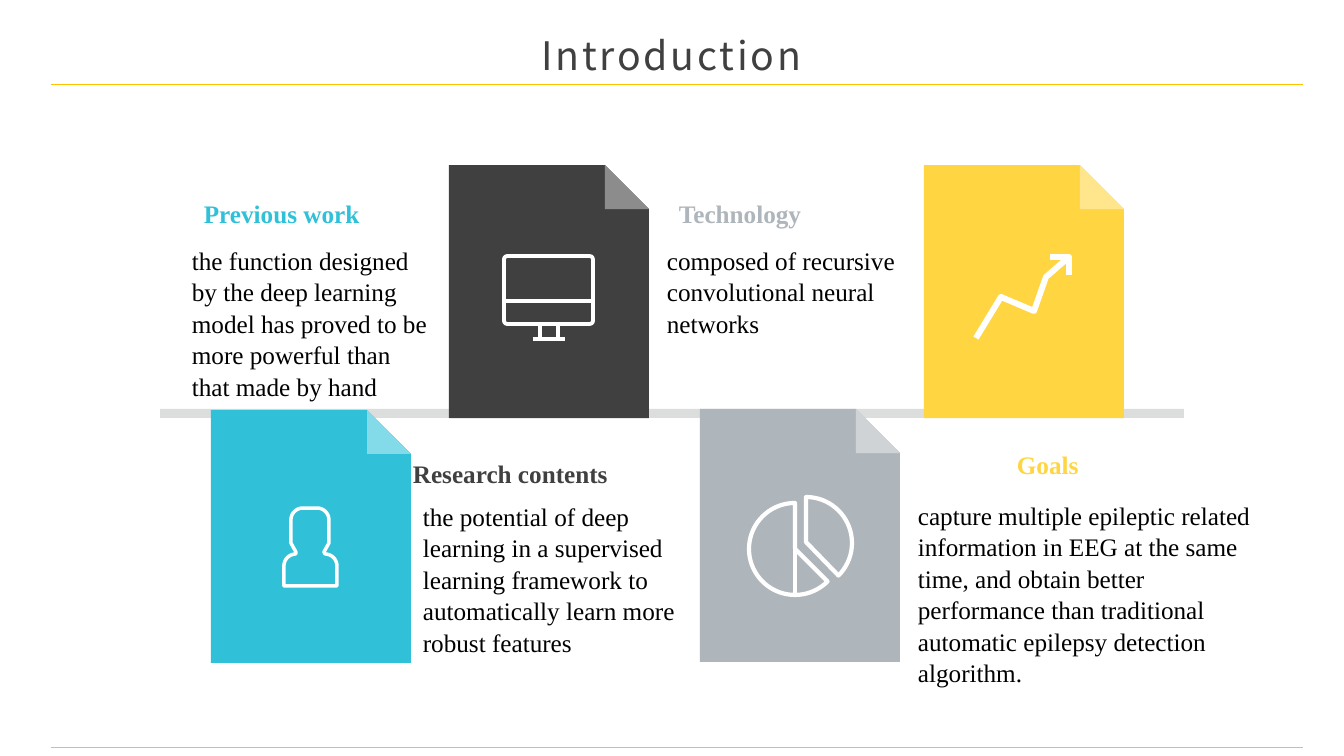
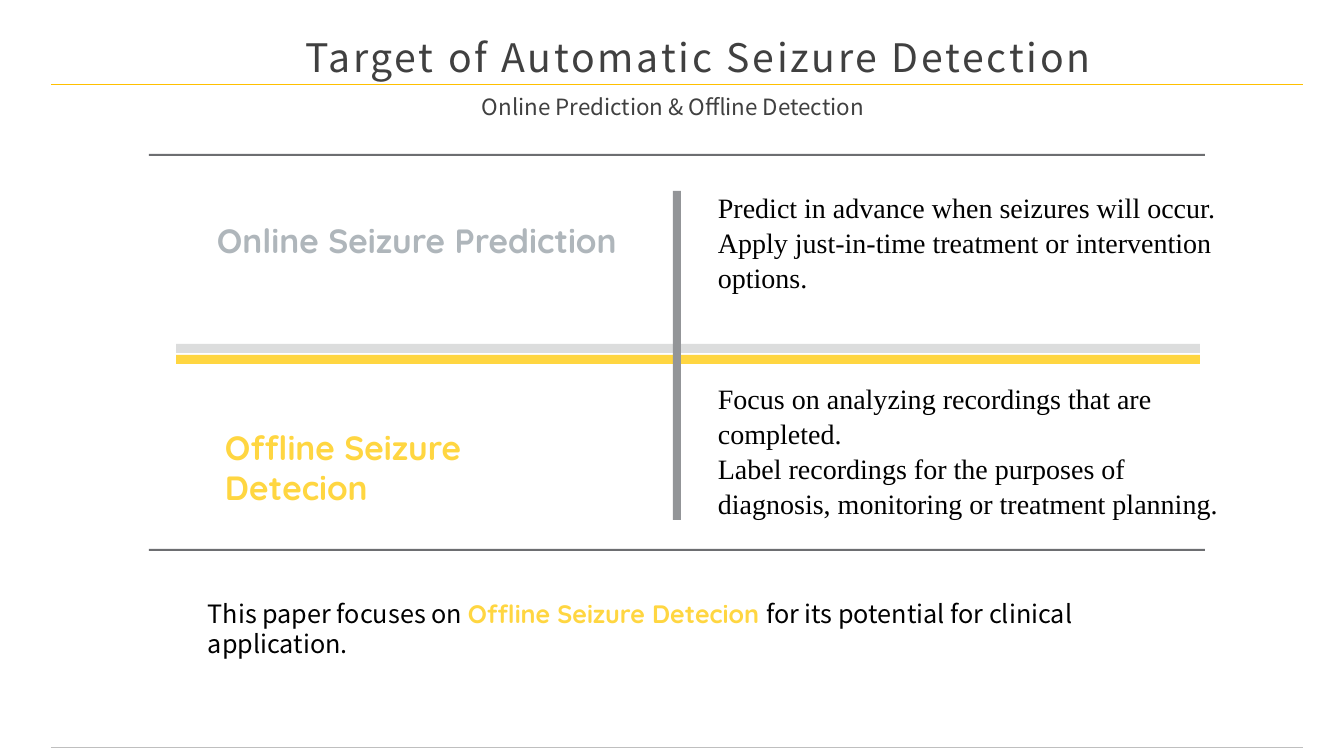
import math

import pptx
import pptx.dml.color
import pptx.enum.shapes
import pptx.enum.text
import pptx.oxml
import pptx.oxml.ns
import pptx.util

PX = 914400 / 100.8
COLORS = {
    "ink": "404040",
    "black": "000000",
    "white": "FFFFFF",
    "accent": "FFC000",
    "footer": "BFBFBF",
    "track": "DCDDDD",
    "divider": "939598",
    "rule": "6D6E71",
    "cyan": "30C1D8",
    "silver": "AFB6BB",
    "yellow": "FFD641",
    "cyan_fold": "83DAE8",
    "ink_fold": "8C8C8C",
    "silver_fold": "CFD3D6",
    "yellow_fold": "FFE68D",
}
SERIF = "Times New Roman"
SANS = "Noto Sans CJK SC"
ROUNDED = "Quicksand"
SHAPES = pptx.enum.shapes.MSO_SHAPE
CENTER = pptx.enum.text.PP_ALIGN.CENTER
PAGE_W, PAGE_H, FOLD = 200, 253, 44


def px(value):
    return pptx.util.Emu(round(value * PX))


def rgb(name):
    return pptx.dml.color.RGBColor.from_string(COLORS[name])


def style_font(font, face, size, color, bold=False):
    font.name = face
    font.size = pptx.util.Pt(size)
    font.bold = bold
    font.color.rgb = rgb(color)


def paint(shape, fill=None, line=None, weight=1):
    shape.shadow.inherit = False
    if fill:
        shape.fill.solid()
        shape.fill.fore_color.rgb = rgb(fill)
    else:
        shape.fill.background()
    if line:
        shape.line.color.rgb = rgb(line)
        shape.line.width = pptx.util.Pt(weight)
    else:
        shape.line.fill.background()


def add_bar(slide, left, top, width, height, fill):
    bar = slide.shapes.add_shape(SHAPES.RECTANGLE, px(left), px(top), px(width), px(height))
    paint(bar, fill)


def add_line(slide, start, end, color, weight):
    line = slide.shapes.add_connector(
        pptx.enum.shapes.MSO_CONNECTOR.STRAIGHT, *map(px, start + end))
    line.line.color.rgb = rgb(color)
    line.line.width = pptx.util.Pt(weight)
    properties = line._element.spPr
    properties.append(pptx.oxml.parse_xml(
        "<a:effectLst %s/>" % pptx.oxml.ns.nsdecls("a")))


def add_outline(slide, points, fill=None, line=None, weight=1, close=True):
    corners = [(px(x), px(y)) for x, y in points]
    builder = slide.shapes.build_freeform(*corners[0], scale=1.0)
    builder.add_line_segments(corners[1:], close=close)
    paint(builder.convert_to_shape(), fill, line, weight)


def arc(x, y, radius, start, end):
    steps = max(6, abs(end - start) // 5)
    angles = [math.radians(start + (end - start) * i / steps) for i in range(steps + 1)]
    return [(x + radius * math.cos(a), y + radius * math.sin(a)) for a in angles]


def add_text(slide, box, paragraphs, face, size, color="black", bold=False, align=None):
    frame = slide.shapes.add_textbox(*map(px, box)).text_frame
    frame.word_wrap = True
    frame.text = "\n".join(paragraphs)
    for paragraph in frame.paragraphs:
        style_font(paragraph.font, face, size, color, bold)
        paragraph.alignment = align
        if face == SERIF:
            paragraph.line_spacing = 1.04


def add_titled_slide(deck, title, box):
    slide = deck.slides.add_slide(deck.slide_layouts[5])
    heading = slide.shapes.title
    heading.left, heading.top, heading.width, heading.height = map(px, box)
    frame = heading.text_frame
    frame.text = title
    frame.word_wrap = True
    frame.auto_size = pptx.enum.text.MSO_AUTO_SIZE.NONE
    frame.vertical_anchor = pptx.enum.text.MSO_ANCHOR.MIDDLE
    paragraph = frame.paragraphs[0]
    paragraph.alignment = CENTER
    style_font(paragraph.font, SANS, 28, "ink")
    paragraph.runs[0]._r.get_or_add_rPr().set("spc", "200")
    for y, color in ((84, "accent"), (747, "footer")):
        add_line(slide, (51, y), (1303, y), color, 0.5)
    return slide


def add_page(slide, left, top, color):
    right, crease = left + PAGE_W, left + PAGE_W - FOLD
    bottom, flap = top + PAGE_H, top + FOLD
    add_outline(slide, [(crease, top), (left, top), (left, bottom),
                        (right, bottom), (right, flap)], color)
    add_outline(slide, [(crease, flap), (right, flap), (crease, top)], color + "_fold")


def draw_person(slide):
    points = [(284, 586), *arc(296, 566, 12, 180, 270), (296, 552), (291, 543),
              *arc(303, 520, 12, 180, 270), *arc(317, 520, 12, 270, 360),
              (329, 543), (324, 552), *arc(325, 566, 12, 270, 360), (337, 586)]
    add_outline(slide, points, line="white", weight=2.5)


def draw_monitor(slide):
    screen = slide.shapes.add_shape(
        SHAPES.ROUNDED_RECTANGLE, px(504), px(256), px(89), px(68))
    screen.adjustments[0] = 0.05
    paint(screen, line="white", weight=2.75)
    for start, end in (((504, 301), (593, 301)), ((540, 324), (540, 338)),
                       ((558, 324), (558, 338)), ((533, 339), (565, 339))):
        add_line(slide, start, end, "white", 2.75)


def draw_pie(slide):
    large = [(795, 549), *arc(795, 549, 46, 270, 45)]
    small = [(806, 542), *arc(806, 543, 46, 270, 405)]
    for sector in (large, small):
        add_outline(slide, sector, line="white", weight=3)
    add_line(slide, (795, 549), (795, 595), "white", 3)


def draw_trend(slide):
    trend = [(976, 338), (1001, 297), (1034, 311), (1046, 277), (1069, 257)]
    tip = [(1050, 257), (1069, 257), (1069, 275)]
    for points in (trend, tip):
        add_outline(slide, points, line="white", weight=4.25, close=False)


def build_introduction(deck):
    slide = add_titled_slide(deck, "Introduction", (450, 27, 443, 56))
    add_bar(slide, 160, 409, 1024, 9, "track")
    pages = (
        (211, 410, "cyan", draw_person),
        (449, 165, "ink", draw_monitor),
        (700, 409, "silver", draw_pie),
        (924, 165, "yellow", draw_trend),
    )
    for left, top, color, draw_icon in pages:
        add_page(slide, left, top, color)
        draw_icon(slide)
    topics = (
        ("Previous work", "cyan", (194, 192, 200, 40), (182, 239, 259, 163),
         "the function designed by the deep learning model has proved to be "
         "more powerful than that made by hand"),
        ("Research contents", "ink", (403, 452, 230, 40), (413, 495, 295, 163),
         "the potential of deep learning in a supervised learning framework "
         "to automatically learn more robust features"),
        ("Technology", "silver", (669, 192, 160, 40), (657, 239, 259, 102),
         "composed of recursive convolutional neural networks"),
        ("Goals", "yellow", (1007, 443, 100, 40), (908, 494, 365, 194),
         "capture multiple epileptic related information in EEG at the same "
         "time, and obtain better performance than traditional automatic "
         "epilepsy detection algorithm."),
    )
    for heading, color, heading_box, body_box, body in topics:
        add_text(slide, body_box, [body], SERIF, 18)
        add_text(slide, heading_box, [heading], SERIF, 18, color, bold=True)


def build_target(deck):
    slide = add_titled_slide(
        deck, "Target of Automatic Seizure Detection", (235, 29, 927, 56))
    add_text(slide, (444, 88, 458, 37), ["Online Prediction & Offline Detection"],
             SANS, 16, "ink", align=CENTER)
    for y in (154, 549):
        add_bar(slide, 149, y, 1056, 2, "rule")
    for y, color in ((344, "track"), (355, "yellow")):
        add_bar(slide, 176, y, 1024, 9, color)
    add_bar(slide, 673, 191, 8, 329, "divider")

    tasks = (
        ("Online Seizure Prediction", "silver", (207, 215, 430, 50), (708, 184, 526, 112),
         ["Predict in advance when seizures will occur.",
          "Apply just-in-time treatment or intervention options."]),
        ("Offline Seizure Detecion", "yellow", (215, 422, 350, 92), (708, 375, 526, 146),
         ["Focus on analyzing recordings that are completed.",
          "Label recordings for the purposes of diagnosis, monitoring or "
          "treatment planning."]),
    )
    for heading, color, heading_box, body_box, body in tasks:
        add_text(slide, heading_box, [heading], ROUNDED, 24, color, bold=True)
        add_text(slide, body_box, body, SERIF, 20)

    frame = slide.shapes.add_textbox(px(198), px(593), px(971), px(71)).text_frame
    frame.word_wrap = True
    for text, face, color, bold in (
        ("This paper focuses on ", SANS, "black", False),
        ("Offline Seizure Detecion ", ROUNDED, "yellow", True),
        ("for its potential for clinical application.", SANS, "black", False),
    ):
        run = frame.paragraphs[0].add_run()
        run.text = text
        style_font(run.font, face, 18, color, bold)


def main():
    deck = pptx.Presentation()
    deck.slide_width, deck.slide_height = px(1344), px(756)
    build_introduction(deck)
    build_target(deck)
    deck.save("out.pptx")


if __name__ == "__main__":
    main()
